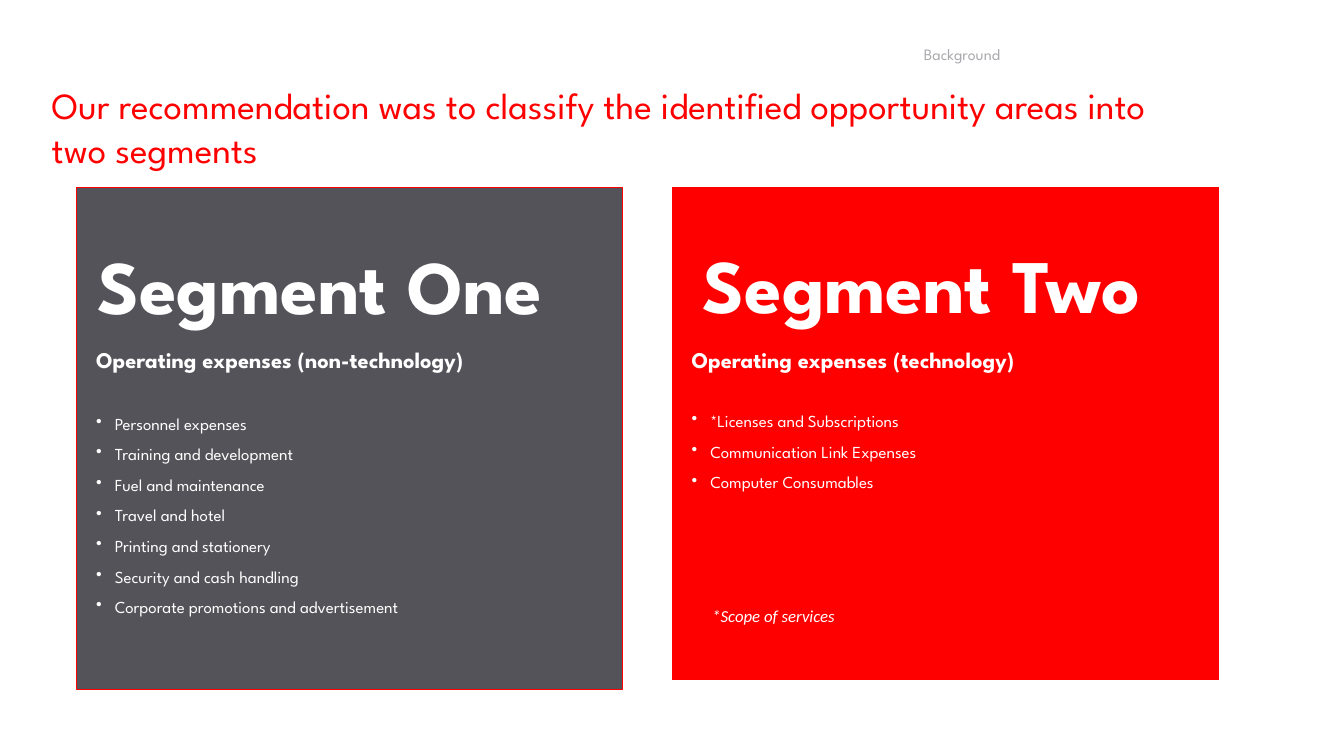
from lxml.etree import SubElement
from pptx import Presentation
from pptx.dml.color import RGBColor
from pptx.enum.shapes import MSO_SHAPE
from pptx.enum.text import MSO_ANCHOR, PP_ALIGN
from pptx.oxml.ns import qn
from pptx.util import Pt

COLORS = {"red": "FF0000", "slate": "54535A", "white": "FFFFFF", "grey": "A9A8AD"}
BODY_FONT = "League Spartan"
HANGING = 20


def color(name):
    return RGBColor.from_string(COLORS[name])


def set_frame(frame, left=0, top=0):
    frame.word_wrap = True
    frame.vertical_anchor = MSO_ANCHOR.TOP
    frame.margin_left, frame.margin_top = Pt(left), Pt(top)
    frame.margin_right = frame.margin_bottom = 0


def add_text(frame, text, size, ink="white", font=BODY_FONT, bold=False, italic=False,
             before=0, indent=0, bullet=False, line_spacing=None):
    paragraph = frame.paragraphs[0]
    if paragraph.runs:
        paragraph = frame.add_paragraph()
    properties = paragraph._p.get_or_add_pPr()
    properties.set("marL", str(Pt(indent + HANGING if bullet else indent)))
    if bullet:
        properties.set("indent", str(Pt(-HANGING)))
        SubElement(properties, qn("a:buChar"), char="•")
    paragraph.alignment = PP_ALIGN.LEFT
    if before:
        paragraph.space_before = Pt(before)
    if line_spacing:
        paragraph.line_spacing = line_spacing
    run = paragraph.add_run()
    run.text = text
    run.font.name = font
    run.font.size = Pt(size)
    run.font.bold = bold
    run.font.italic = italic
    run.font.color.rgb = color(ink)


def add_label(slide, text, box, size, inset=(0, 0), **style):
    frame = slide.shapes.add_textbox(*map(Pt, box)).text_frame
    set_frame(frame, *inset)
    add_text(frame, text, size, **style)


def add_segment(slide, box, fill, heading, heading_indent, subtitle, expenses,
                list_gap, outline=None):
    panel = slide.shapes.add_shape(MSO_SHAPE.RECTANGLE, *map(Pt, box))
    panel.shadow.inherit = False
    panel.fill.solid()
    panel.fill.fore_color.rgb = color(fill)
    if outline:
        panel.line.color.rgb = color(outline)
        panel.line.width = Pt(0.75)
    else:
        panel.line.fill.background()
    frame = panel.text_frame
    set_frame(frame, top=55)
    add_text(frame, heading, 81, bold=True, indent=heading_indent)
    add_text(frame, subtitle, 24, bold=True, before=18.4, indent=21)
    for index, expense in enumerate(expenses):
        add_text(frame, expense, 18, before=11.2 if index else list_gap,
                 indent=21, bullet=True)


def main():
    presentation = Presentation()
    presentation.slide_width, presentation.slide_height = Pt(1440), Pt(810)
    slide = presentation.slides.add_slide(presentation.slide_layouts[6])

    add_label(slide, "Our recommendation was to classify the identified opportunity "
              "areas into two segments", (54.7, 87, 1212, 98), 39.5,
              inset=(0.7, 0.7), ink="red", line_spacing=1.01)
    add_segment(slide, (82, 200.7, 585, 538), "slate", "Segment One", 22,
                "Operating expenses (non-technology)",
                ["Personnel expenses", "Training and development",
                 "Fuel and maintenance", "Travel and hotel",
                 "Printing and stationery", "Security and cash handling",
                 "Corporate promotions and advertisement"],
                list_gap=42.6, outline="red")
    add_segment(slide, (720, 200.4, 586, 528), "red", "Segment Two", 32.4,
                "Operating expenses (technology)",
                ["*Licenses and Subscriptions", "Communication Link Expenses",
                 "Computer Consumables"],
                list_gap=40.4)
    add_label(slide, "Background", (989.3, 46, 103, 23), 17,
              inset=(0.7, 1.4), ink="grey")
    add_label(slide, "*Scope of services", (756, 645, 258, 29), 18,
              inset=(7.2, 3.6), font="Calibri", italic=True)

    presentation.save("out.pptx")


if __name__ == "__main__":
    main()
